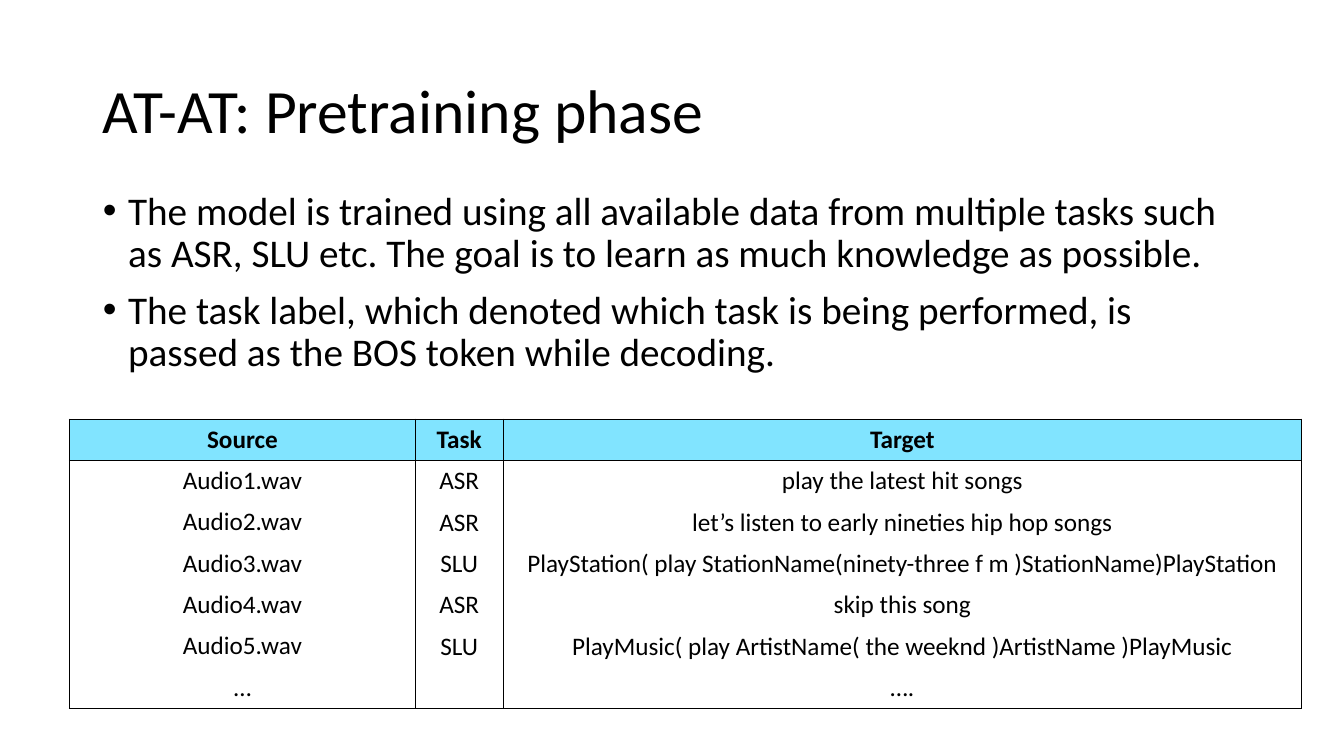
"""Build the AT-AT pretraining slide with its table of example tasks."""
import pptx
import pptx.dml.color
import pptx.enum.text
import pptx.oxml
import pptx.oxml.ns
import pptx.util
from pptx.util import Inches

TITLE = "AT-AT: Pretraining phase"
BULLETS = [
    "The model is trained using all available data from multiple tasks such as ASR, SLU etc. "
    "The goal is to learn as much knowledge as possible.",
    "The task label, which denoted which task is being performed, is passed as the BOS token "
    "while decoding.",
]
ROWS = [
    ("Source", "Task", "Target"),
    ("Audio1.wav", "ASR", "play the latest hit songs"),
    ("Audio2.wav", "ASR", "let’s listen to early nineties hip hop songs"),
    ("Audio3.wav", "SLU", "PlayStation( play StationName(ninety-three f m )StationName)PlayStation"),
    ("Audio4.wav", "ASR", "skip this song"),
    ("Audio5.wav", "SLU", "PlayMusic( play ArtistName( the weeknd )ArtistName )PlayMusic"),
    ("…", "", "…."),
]
COL_WIDTHS = [3.43, 0.87, 7.92]
ROW_HEIGHT = 0.41
COLORS = {"text": "000000", "line": "000000", "header": "05CAFF"}
FONT = "Calibri"
ANCHOR = pptx.enum.text.MSO_ANCHOR
ALIGN = pptx.enum.text.PP_ALIGN


def xml(tag, attrs="", inner=""):
    ns = pptx.oxml.ns.nsdecls("a")
    return pptx.oxml.parse_xml(f"<a:{tag} {ns} {attrs}>{inner}</a:{tag}>")


def add_run(p, text, size, bold=False):
    r = p.add_run()
    r.text = text
    r.font.name = FONT
    r.font.size = pptx.util.Pt(size)
    r.font.bold = bold
    r.font.color.rgb = pptx.dml.color.RGBColor.from_string(COLORS["text"])


def place(sp, left, top, width, height, anchor):
    sp.left, sp.top, sp.width, sp.height = map(Inches, (left, top, width, height))
    tf = sp.text_frame
    tf.word_wrap = True
    tf.auto_size = pptx.enum.text.MSO_AUTO_SIZE.NONE
    tf.vertical_anchor = anchor
    return tf


def set_borders(cell, sides):
    tc_pr = cell._tc.get_or_add_tcPr()
    for i, side in enumerate("LRTB"):
        paint = "<a:noFill/>"
        if side in sides:
            paint = f'<a:solidFill><a:srgbClr val="{COLORS["line"]}"/></a:solidFill>'
        tc_pr.insert(i, xml(f"ln{side}", 'w="12700"', paint))


def fill_header(cell):
    cell.fill.solid()
    cell.fill.fore_color.rgb = pptx.dml.color.RGBColor.from_string(COLORS["header"])
    color = cell._tc.tcPr.find(".//" + pptx.oxml.ns.qn("a:srgbClr"))
    color.append(xml("alpha", 'val="50000"'))


def add_bullets(tf):
    for i, text in enumerate(BULLETS):
        p = tf.add_paragraph() if i else tf.paragraphs[0]
        p_pr = p._p.get_or_add_pPr()
        p_pr.set("marL", str(Inches(0.25)))
        p_pr.set("indent", str(-Inches(0.25)))
        p_pr.append(xml("buFont", 'typeface="Arial"'))
        p_pr.append(xml("buChar", 'char="•"'))
        p.line_spacing = 0.9
        p.space_before = pptx.util.Pt(10 if i else 0)
        add_run(p, text, 28)


def add_examples(s):
    frame = s.shapes.add_table(
        len(ROWS), len(COL_WIDTHS), Inches(0.69), Inches(4.16),
        Inches(sum(COL_WIDTHS)), Inches(ROW_HEIGHT * len(ROWS)))
    table = frame.table
    table.first_row = table.horz_banding = False
    for col, width in zip(table.columns, COL_WIDTHS):
        col.width = Inches(width)
    for i, row in enumerate(ROWS):
        table.rows[i].height = Inches(ROW_HEIGHT)
        for j, text in enumerate(row):
            cell = table.cell(i, j)
            header = i == 0
            cell.vertical_anchor = ANCHOR.MIDDLE if j and not header else ANCHOR.TOP
            if header:
                fill_header(cell)
            else:
                cell.fill.background()
            top = "T" if i <= 1 else ""
            bottom = "B" if i in (0, len(ROWS) - 1) else ""
            set_borders(cell, "LR" + top + bottom)
            p = cell.text_frame.paragraphs[0]
            p.alignment = ALIGN.CENTER
            if text:
                add_run(p, text, 18, header)


def main():
    prs = pptx.Presentation()
    prs.slide_width, prs.slide_height = Inches(13.33), Inches(7.5)
    s = prs.slides.add_slide(prs.slide_layouts[1])
    tf = place(s.shapes.title, 0.92, 0.4, 11.5, 1.45, ANCHOR.MIDDLE)
    p = tf.paragraphs[0]
    p.alignment = ALIGN.LEFT
    p.line_spacing = 0.9
    add_run(p, TITLE, 44)
    add_bullets(place(s.placeholders[1], 0.92, 1.85, 11.5, 4.76, ANCHOR.TOP))
    add_examples(s)
    prs.save("out.pptx")


if __name__ == "__main__":
    main()
